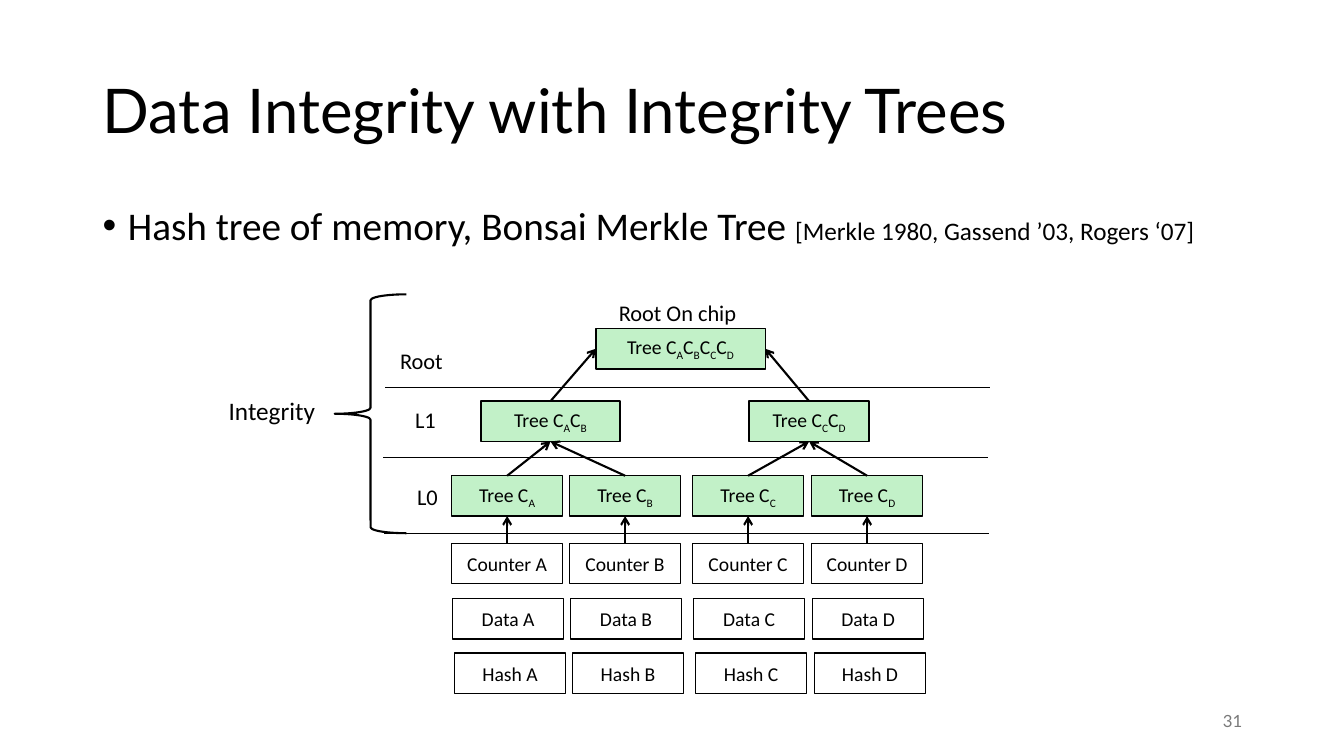
"""Build the slide on data integrity with integrity trees."""
from lxml.etree import SubElement
from pptx import Presentation
from pptx.dml.color import RGBColor
from pptx.enum.shapes import MSO_CONNECTOR, MSO_SHAPE
from pptx.enum.text import MSO_ANCHOR, PP_ALIGN
from pptx.oxml.ns import qn
from pptx.util import Inches, Pt

BLACK = RGBColor(0x00, 0x00, 0x00)
GREEN = RGBColor(0xC2, 0xF1, 0xC8)
GREY = RGBColor(0x79, 0x79, 0x79)
COLUMNS = [4.48, 5.65, 6.87, 8.05]
BOX_W, BOX_H = 1.1, 0.4
ROOT_Y, L1_Y, L0_Y = 3.26, 3.98, 4.72


def write(sp, text, size=14, font="Calibri", color=BLACK,
          align=PP_ALIGN.LEFT, anchor=MSO_ANCHOR.TOP, wrap=True):
    """Append text to the shape; the letter after each underscore is a subscript."""
    tf = sp.text_frame
    tf.word_wrap, tf.vertical_anchor = wrap, anchor
    p = tf.paragraphs[0]
    p.alignment = align
    first, *rest = text.split("_")
    runs = [(first, None)]
    for part in rest:
        runs += [(part[0], "-25000"), (part[1:], None)]
    for words, baseline in runs:
        if words:
            r = p.add_run()
            r.text = words
            r.font.size, r.font.name = Pt(size), font
            r.font.color.rgb = color
            if baseline:
                r.font._element.set("baseline", baseline)
    return p


def connect(x1=0, y1=0, x2=0, y2=0, width=0.75, begin=None, end=None):
    """Draw a line, or an arrow between the sides of two boxes."""
    c = s.shapes.add_connector(MSO_CONNECTOR.STRAIGHT, Inches(x1), Inches(y1),
                               Inches(x2), Inches(y2))
    c.line.color.rgb = BLACK
    c.line.width = Pt(width)
    SubElement(c._element.spPr, qn("a:effectLst"))
    if begin:
        c.begin_connect(*begin)
        c.end_connect(*end)
        SubElement(c.line._get_or_add_ln(), qn("a:tailEnd"), type="arrow")


prs = Presentation()
prs.slide_width, prs.slide_height = Inches(13.33), Inches(7.5)
s = prs.slides.add_slide(prs.slide_layouts[6])

title = s.shapes.add_textbox(Inches(0.92), Inches(0.4), Inches(11.5), Inches(1.45))
p = write(title, "Data Integrity with Integrity Trees", size=44, font="Lato",
          anchor=MSO_ANCHOR.MIDDLE)
p.line_spacing = 0.9

body = s.shapes.add_textbox(Inches(0.92), Inches(2), Inches(11.5), Inches(0.7))
write(body, "Hash tree of memory, Bonsai Merkle Tree ", size=28)
p = write(body, "[Merkle 1980, Gassend ’03, Rogers ‘07]", size=18)
p.line_spacing, p.space_before = 0.9, Pt(10)
pPr = p._p.get_or_add_pPr()
pPr.set("marL", str(Inches(0.25)))
pPr.set("indent", str(Inches(-0.25)))
SubElement(pPr, qn("a:buFont"), typeface="Arial")
SubElement(pPr, qn("a:buChar"), char="•")

labels = [
    ("31", 9.42, 6.95, 3, 0.4, dict(size=12, font="Lato", color=GREY,
                                    align=PP_ALIGN.RIGHT, anchor=MSO_ANCHOR.MIDDLE)),
    ("Root", 3.65, 3.39, 0.84, 0.37, dict(size=16, align=PP_ALIGN.RIGHT)),
    ("L1", 3.8, 3.98, 0.62, 0.37, dict(size=16, align=PP_ALIGN.RIGHT)),
    ("L0", 3.82, 4.74, 0.62, 0.37, dict(size=16, align=PP_ALIGN.RIGHT)),
    ("Root On chip", 6.03, 2.92, 1.38, 0.37,
     dict(size=16, align=PP_ALIGN.CENTER, wrap=False)),
    ("Integrity", 2.17, 3.87, 1.07, 0.4, dict(size=18, wrap=False)),
]
for text, x, y, w, h, style in labels:
    sp = s.shapes.add_textbox(Inches(x), Inches(y), Inches(w), Inches(h))
    write(sp, text, **style)

brace = s.shapes.add_shape(MSO_SHAPE.LEFT_BRACE, Inches(3.32), Inches(2.92),
                           Inches(0.71), Inches(2.37))
brace.shadow.inherit = False
brace.fill.background()
brace.line.color.rgb = BLACK
brace.line.width = Pt(1.5)

for x, y in [(3.82, 3.84), (3.8, 4.54), (3.81, 5.29)]:
    connect(x, y, x + 6, y)

boxes = [("Tree C_AC_BC_CC_D", 5.91, ROOT_Y, 1.68, GREEN),
         ("Tree C_AC_B", 4.77, L1_Y, 1.38, GREEN),
         ("Tree C_CC_D", 7.43, L1_Y, 1.19, GREEN)]
rows = [("Tree C_", L0_Y, 0, GREEN), ("Counter ", 5.39, 0, None),
        ("Data ", 5.94, 0.01, None), ("Hash ", 6.48, 0.03, None)]
for name, y, shift, fill in rows:
    for letter, x in zip("ABCD", COLUMNS):
        boxes.append((name + letter, x + shift, y, BOX_W, fill))

nodes = {}
for text, x, y, w, fill in boxes:
    sp = s.shapes.add_shape(MSO_SHAPE.RECTANGLE, Inches(x), Inches(y),
                            Inches(w), Inches(BOX_H))
    sp.shadow.inherit = False
    if fill:
        sp.fill.solid()
        sp.fill.fore_color.rgb = fill
    else:
        sp.fill.background()
    sp.line.color.rgb = BLACK
    sp.line.width = Pt(1)
    write(sp, text, align=PP_ALIGN.CENTER, anchor=MSO_ANCHOR.MIDDLE)
    nodes[text] = sp

root = nodes["Tree C_AC_BC_CC_D"]
for pair, side in [("AB", 1), ("CD", 3)]:
    parent = nodes["Tree " + "".join("C_" + letter for letter in pair)]
    connect(width=1.5, begin=(parent, 0), end=(root, side))
    for letter in pair:
        leaf = nodes["Tree C_" + letter]
        connect(width=1.5, begin=(leaf, 0), end=(parent, 2))
        connect(width=1.5, begin=(nodes["Counter " + letter], 0), end=(leaf, 2))

prs.save("out.pptx")
